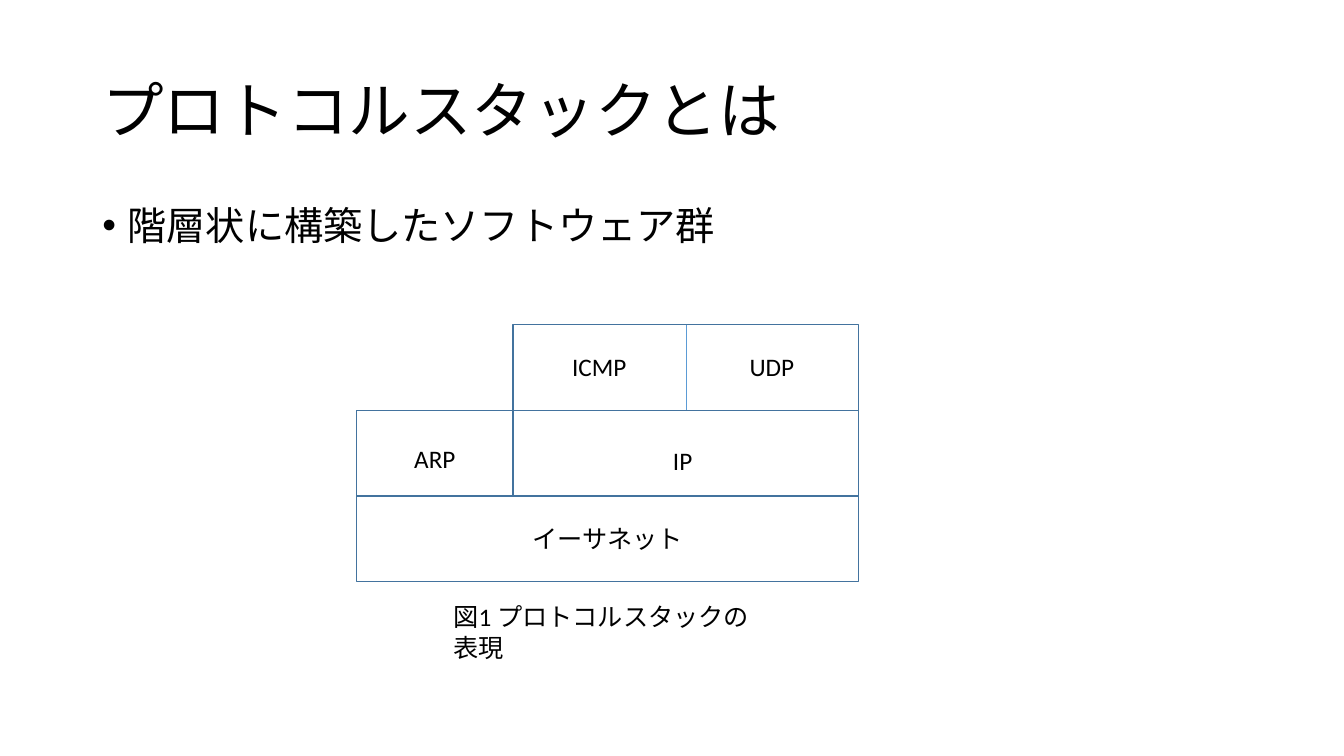
from lxml import etree
from pptx import Presentation
from pptx.dml.color import RGBColor
from pptx.enum import shapes, text
from pptx.oxml import ns
from pptx.util import Cm, Pt

BLACK = RGBColor(0x00, 0x00, 0x00)
WHITE = RGBColor(0xFF, 0xFF, 0xFF)
EDGE = RGBColor(0x43, 0x73, 0x9E)
DIVIDER = RGBColor(0x5B, 0x9B, 0xD5)
FONT = "Calibri"

# Protocol stack grid, in centimetres
STACK_LEFT, IP_LEFT, STACK_RIGHT = 8.99, 12.93, 21.64
STACK_TOP, ROW_HEIGHT = 8.18, 2.16
LABEL_HEIGHT = 1.02


def write(frame, words, size=18, align=text.PP_ALIGN.LEFT, spacing=None, before=None):
    """Put one formatted paragraph in a text frame."""
    para = frame.paragraphs[0]
    para.alignment = align
    para.line_spacing = spacing
    para.space_before = before
    span = para.add_run()
    span.text = words
    span.font.name = FONT
    span.font.size = Pt(size)
    span.font.color.rgb = BLACK
    return para


def add_text(page, words, left, top, width, height, wrap=True,
             anchor=text.MSO_ANCHOR.TOP, grow=False, **style):
    box = page.shapes.add_textbox(Cm(left), Cm(top), Cm(width), Cm(height))
    frame = box.text_frame
    frame.word_wrap = wrap
    frame.vertical_anchor = anchor
    if grow:
        frame.auto_size = text.MSO_AUTO_SIZE.SHAPE_TO_FIT_TEXT
    return write(frame, words, **style)


def add_bullet(para, indent):
    props = para._p.get_or_add_pPr()
    props.set("marL", str(Cm(indent)))
    props.set("indent", str(-Cm(indent)))
    font = etree.SubElement(props, ns.qn("a:buFont"))
    font.set("typeface", "Arial")
    etree.SubElement(props, ns.qn("a:buChar")).set("char", "•")


def row_top(row):
    return STACK_TOP + row * ROW_HEIGHT


def add_layer(page, row, left, right, words=None):
    layer = page.shapes.add_shape(
        shapes.MSO_SHAPE.RECTANGLE,
        Cm(left), Cm(row_top(row)), Cm(right - left), Cm(ROW_HEIGHT))
    layer.shadow.inherit = False
    layer.fill.solid()
    layer.fill.fore_color.rgb = WHITE
    layer.line.color.rgb = EDGE
    layer.line.width = Pt(1)
    if words:
        layer.text_frame.vertical_anchor = text.MSO_ANCHOR.MIDDLE
        write(layer.text_frame, words, align=text.PP_ALIGN.CENTER)


def add_divider(page, x, row):
    line = page.shapes.add_connector(
        shapes.MSO_CONNECTOR.STRAIGHT,
        Cm(x), Cm(row_top(row)), Cm(x), Cm(row_top(row + 1)))
    line.line.color.rgb = DIVIDER
    line.line.width = Pt(0.5)
    etree.SubElement(line._element.spPr, ns.qn("a:effectLst"))


def main():
    deck = Presentation()
    deck.slide_width, deck.slide_height = Cm(33.87), Cm(19.05)
    page = deck.slides.add_slide(deck.slide_layouts[6])

    # Title and bullet
    add_text(page, "プロトコルスタックとは", 2.33, 1.01, 29.21, 3.68,
             anchor=text.MSO_ANCHOR.MIDDLE, size=44, spacing=0.9)
    para = add_text(page, "階層状に構築したソフトウェア群", 2.33, 5.07, 29.21, 12.09,
                    size=28, spacing=0.9, before=Pt(10))
    add_bullet(para, 0.64)

    # Layers of the stack
    add_layer(page, 2, STACK_LEFT, STACK_RIGHT, "イーサネット")
    add_layer(page, 1, IP_LEFT, STACK_RIGHT)
    add_layer(page, 0, IP_LEFT, STACK_RIGHT)
    add_layer(page, 1, STACK_LEFT, IP_LEFT)
    add_divider(page, (IP_LEFT + STACK_RIGHT) / 2, 0)

    # Protocol names
    for name, left, top, width in (("IP", 16.71, 11.1, 0.99),
                                   ("ARP", 10.19, 11.05, 1.55),
                                   ("ICMP", 14.17, 8.74, 1.91),
                                   ("UDP", 18.64, 8.74, 1.65)):
        add_text(page, name, left, top, width, LABEL_HEIGHT, wrap=False, grow=True)

    # Caption
    add_text(page, "図1 プロトコルスタックの表現", 11.18, 15.04, 8.28, LABEL_HEIGHT,
             grow=True)

    deck.save("out.pptx")


main()
